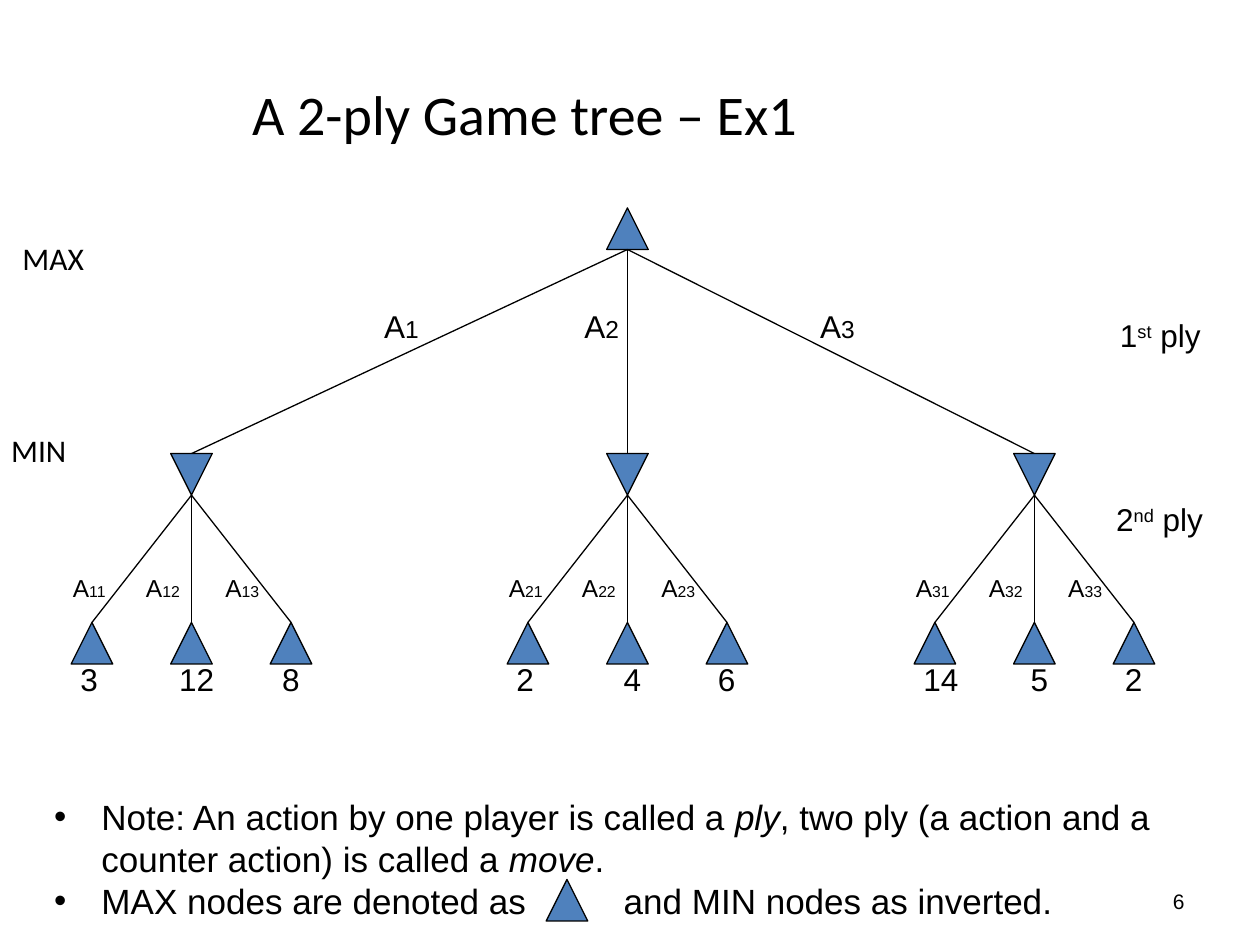
from lxml.etree import SubElement
from pptx import Presentation
from pptx.dml.color import RGBColor
from pptx.enum.shapes import MSO_CONNECTOR as CONN, MSO_SHAPE as SHAPE
from pptx.enum.text import MSO_ANCHOR as ANCHOR, MSO_AUTO_SIZE as FIT, PP_ALIGN as ALIGN
from pptx.oxml.ns import qn
from pptx.util import Inches, Pt

# Content
TITLE = "A 2-ply Game tree – Ex1"
PAGE = "6"
LEAVES = [("3", "12", "8"), ("2", "4", "6"), ("14", "5", "2")]
PLAYERS = [("MAX", 0.08, 1.85), ("MIN", -0.01, 3.37)]
PLIES = [("1", "st", 8.79, 2.46, 0.84), ("2", "nd", 8.76, 3.92, 0.89)]
NOTES = [  # (text, italic) runs
    [("Note: An action by one player is called a ", False), ("ply", True),
     (", two ply (a action and a counter action) is called a ", False),
     ("move", True), (".", False)],
    [("MAX nodes are denoted as\tand MIN nodes as inverted.", False)],
]
COLORS = {"text": "000000", "node": "4F81BD", "line": "000000"}

# Tree layout, in inches
NODE = 0.33
ROOT_X, ROOT_Y, MIN_Y, LEAF_Y = 4.98, 1.65, 3.6, 4.94
MIN_X = [1.52, 4.98, 8.21]
LEAF_STEP = 0.79
ACTION_LEFT = [2.95, 4.54, 6.41]
REPLY_DX = [-1.04, -0.46, 0.17]
VALUE_DX = [-0.98, 0.04, 0.62]

prs = Presentation()
prs.slide_width, prs.slide_height = Inches(10), Inches(7.5)
s = prs.slides.add_slide(prs.slide_layouts[1])


def color(name):
    return RGBColor.from_string(COLORS[name])


def style(p, size, font="Arial", align=ALIGN.LEFT):
    p.alignment = align
    p.font.name, p.font.size = font, Pt(size)
    p.font.color.rgb = color("text")


def place(sp, x, y, w, h):
    sp.left, sp.top, sp.width, sp.height = map(Inches, (x, y, w, h))


def label(runs, x, y, w, size, h=0.4, wrap=False, **kw):
    """Add a one-line text box; each run is (text, size, baseline)."""
    tf = s.shapes.add_textbox(*map(Inches, (x, y, w, h))).text_frame
    tf.word_wrap = wrap
    tf.auto_size = FIT.SHAPE_TO_FIT_TEXT
    p = tf.paragraphs[0]
    style(p, size, **kw)
    for text, run_size, baseline in runs:
        r = p.add_run()
        r.text = text
        r.font.size = Pt(run_size)
        if baseline:
            r._r.get_or_add_rPr().set("baseline", str(baseline))
    return tf


def node(cx, y, inverted=False):
    sp = s.shapes.add_shape(SHAPE.ISOSCELES_TRIANGLE, Inches(cx - NODE / 2),
                            Inches(y), Inches(NODE), Inches(NODE))
    sp.shadow.inherit = False
    sp.fill.solid()
    sp.fill.fore_color.rgb = color("node")
    sp.line.color.rgb = color("line")
    sp.line.width = Pt(0.75)
    if inverted:
        sp.element.spPr.get_or_add_xfrm().set("flipV", "1")


def edge(x1, y1, x2, y2):
    c = s.shapes.add_connector(CONN.STRAIGHT, *map(Inches, (x1, y1, x2, y2)))
    c.line.color.rgb = color("line")
    c.line.width = Pt(0.75)
    SubElement(c.element.spPr, qn("a:effectLst"))


# Title
title = s.shapes.title
place(title, 0.33, 0.58, 7.67, 0.75)
tf = title.text_frame
tf.text = TITLE
tf.vertical_anchor = ANCHOR.MIDDLE
tf.margin_bottom = Inches(0.16)
style(tf.paragraphs[0], 32, "Calibri", ALIGN.CENTER)

# Notes, with a tab leaving room for the sample node
body = s.placeholders[1]
place(body, 0.33, 6.26, 8.96, 1.1)
tf = body.text_frame
tf.auto_size = FIT.NONE
for i, runs in enumerate(NOTES):
    p = tf.paragraphs[0] if i == 0 else tf.add_paragraph()
    tabs = SubElement(p._p.get_or_add_pPr(), qn("a:tabLst"))
    SubElement(tabs, qn("a:tab"), pos=str(Inches(4.52)), algn="l")
    style(p, 20)
    p.space_before = Pt(0)
    for text, italic in runs:
        r = p.add_run()
        r.text = text
        r.font.italic = italic
node(4.5, 6.98)

# Root, MIN nodes and leaves
node(ROOT_X, ROOT_Y)
for i, (cx, values) in enumerate(zip(MIN_X, LEAVES)):
    edge(ROOT_X, ROOT_Y + NODE, cx, MIN_Y)
    node(cx, MIN_Y, inverted=True)
    label([("A", 18, 0), (str(i + 1), 14, 0)], ACTION_LEFT[i], 2.39, 0.48, 18)
    for j, value in enumerate(values):
        leaf_x = cx + (j - 1) * LEAF_STEP
        edge(cx, MIN_Y + NODE, leaf_x, LEAF_Y)
        node(leaf_x, LEAF_Y)
        label([("A", 14, 0), (f"{i + 1}{j + 1}", 9, 0)],
              cx + REPLY_DX[j], 4.5, 0.47, 14, h=0.34)
        w = 0.34 if len(value) == 1 else 0.48
        middle = j == 1
        label([(value, 18, 0)], cx + VALUE_DX[j] - (w / 2 if middle else 0),
              5.19, w, 18, align=ALIGN.CENTER if middle else ALIGN.LEFT)

# Player and ply labels
for name, x, y in PLAYERS:
    label([(name, 18, 0)], x, y, 1.04, 18, wrap=True, font="Calibri")
for number, suffix, x, y, w in PLIES:
    label([(number, 18, 0), (suffix, 18, 30000), (" ply", 18, 0)], x, y, w, 18)

# Slide number
tf = label([(PAGE, 12, 0)], 7.17, 6.95, 2.33, 12, wrap=True, align=ALIGN.RIGHT)
tf.auto_size = FIT.NONE
tf.vertical_anchor = ANCHOR.MIDDLE

prs.save("out.pptx")
